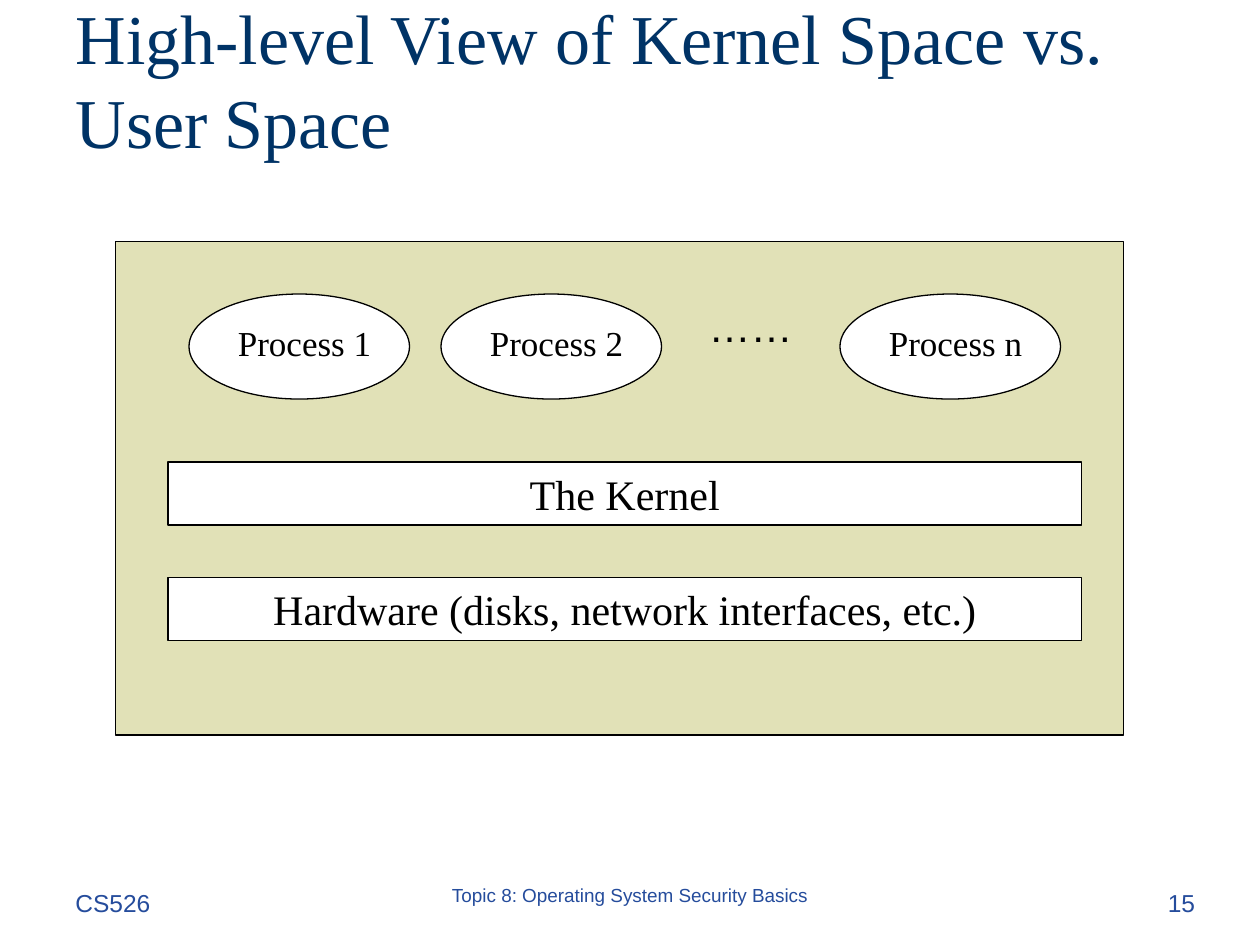
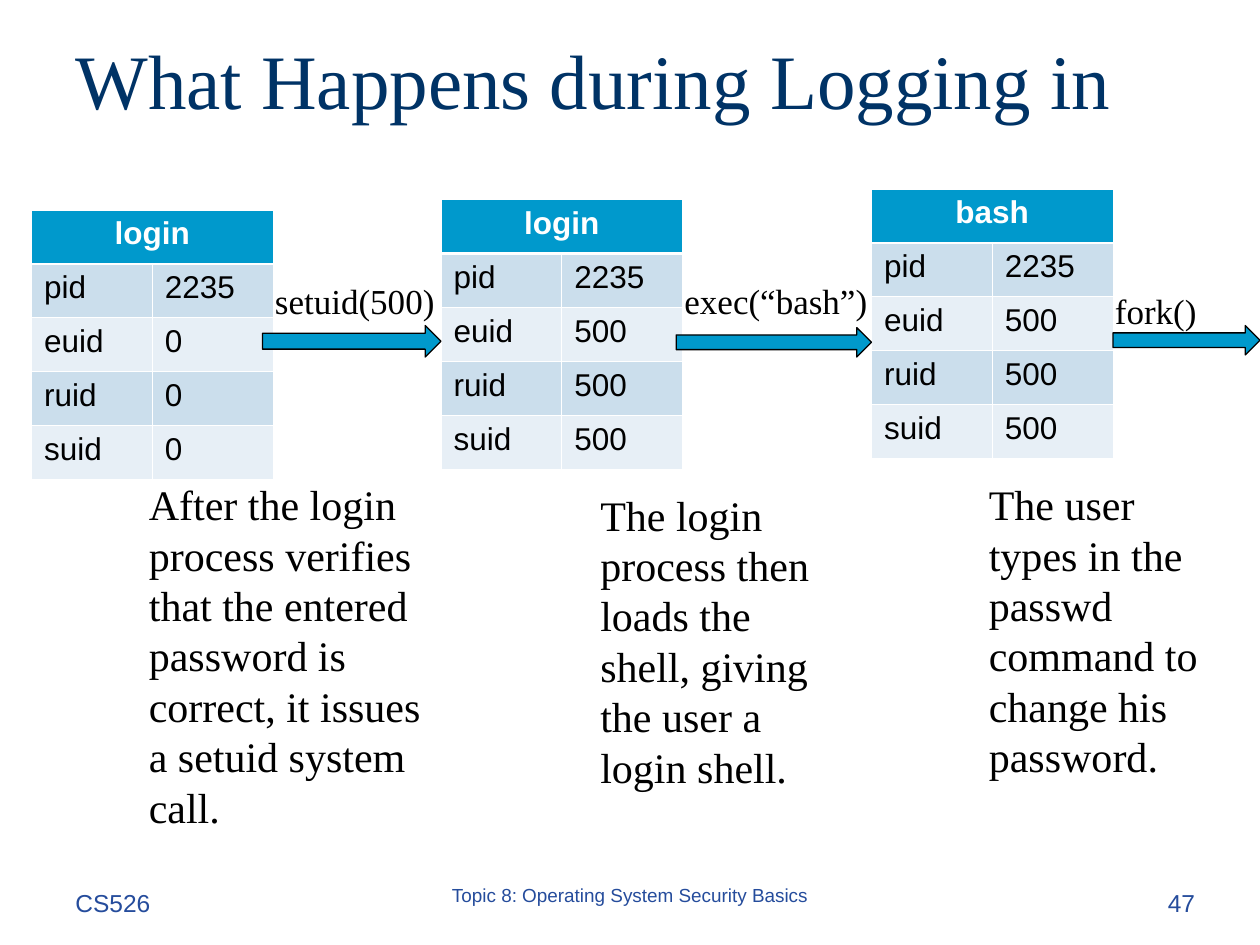
from dataclasses import dataclass
from typing import Optional

from lxml.etree import SubElement
from pptx import Presentation
from pptx.dml.color import RGBColor
from pptx.enum.shapes import MSO_SHAPE as Preset
from pptx.enum.text import MSO_ANCHOR as Anchor, MSO_AUTO_SIZE as AutoSize, PP_ALIGN as Align
from pptx.oxml.ns import qn
from pptx.presentation import Presentation as Deck
from pptx.shapes.autoshape import Shape
from pptx.slide import Slide
from pptx.table import _Cell as Cell
from pptx.text.text import TextFrame
from pptx.util import Inches, Length, Pt

SERIF, SANS = "Times New Roman", "Arial"
BLACK, WHITE = "000000", "FFFFFF"
NAVY, FOOTER_BLUE, CYAN = "003366", "254C9C", "0099CC"
SAGE, BAND_DARK, BAND_LIGHT = "E1E1B7", "CBDEEC", "E7EFF6"
UNITS_PER_INCH = 12
COLUMNS, ROWS = 120, 90
TITLE_ONLY = 5
ID_NAMES = ("pid", "euid", "ruid", "suid")
ID_COLUMN, ID_ROW = 11.5, 5.14


@dataclass(frozen=True)
class Box:
    column: float
    row: float
    columns: float
    rows: float

    def lengths(self) -> tuple[Length, ...]:
        return tuple(units(n) for n in (self.column, self.row, self.columns, self.rows))


@dataclass(frozen=True)
class TextStyle:
    size: float
    font: str = SERIF
    color: str = BLACK
    align: Align = Align.LEFT
    bold: bool = False
    line_spacing: Optional[float] = None


@dataclass(frozen=True)
class Label:
    text: str
    box: Box
    style: TextStyle


@dataclass(frozen=True)
class LoginStage:
    program: str
    column: float
    row: float
    user_id: str
    call: Label
    arrow: Box
    caption: Label


TITLE_BOX = Box(6, 0, 108, 15)
CAPTION = TextStyle(24)
CALL = TextStyle(20)
PROCESS = TextStyle(20, align=Align.CENTER)
LAYER = TextStyle(24, align=Align.CENTER)
DOTS = TextStyle(24, SANS, align=Align.CENTER)
HEADER = TextStyle(18, SANS, WHITE, Align.CENTER, True)
ENTRY = TextStyle(18, SANS)

PROCESSES = {"Process 1": 18, "Process 2": 42, "Process n": 80}
LAYERS = {"The Kernel": 44, "Hardware (disks, network interfaces, etc.)": 55}
STAGES = (
    LoginStage(
        "login", 3, 20, "0",
        Label("setuid(500)", Box(25, 26, 22, 5.3), CALL),
        Box(25, 31, 17, 3),
        Label("After the login process verifies that the entered password is correct, "
              "it issues a setuid system call.", Box(13, 45, 30, 34.8), CAPTION),
    ),
    LoginStage(
        "login", 42, 19, "500",
        Label("exec(“bash”)", Box(64, 26, 22, 5.3), CALL),
        Box(64.4, 31.2, 18.6, 2.8),
        Label("The login process then loads the shell, giving the user a login shell.",
              Box(56, 46, 25, 30), CAPTION),
    ),
    LoginStage(
        "bash", 83, 18, "500",
        Label("fork()", Box(105, 27, 11, 5.3), CALL),
        Box(106, 31, 14, 2.8),
        Label("The user types in the passwd command to change his password.",
              Box(93, 45, 25, 30), CAPTION),
    ),
)


def units(count: float) -> Length:
    return Inches(count / UNITS_PER_INCH)


def rgb(color: str) -> RGBColor:
    return RGBColor.from_string(color)


def write(frame: TextFrame, text: str, style: TextStyle) -> None:
    frame.text = text
    paragraph = frame.paragraphs[0]
    paragraph.alignment = style.align
    paragraph.line_spacing = style.line_spacing
    font = paragraph.font
    font.name, font.size, font.bold = style.font, Pt(style.size), style.bold
    font.color.rgb = rgb(style.color)


def add_label(slide: Slide, label: Label) -> None:
    frame = slide.shapes.add_textbox(*label.box.lengths()).text_frame
    frame.word_wrap = True
    write(frame, label.text, label.style)


def add_preset(slide: Slide, preset: Preset, box: Box, fill: str) -> Shape:
    shape = slide.shapes.add_shape(preset, *box.lengths())
    shape.shadow.inherit = False
    shape.fill.solid()
    shape.fill.fore_color.rgb = rgb(fill)
    shape.line.color.rgb = rgb(BLACK)
    shape.line.width = Pt(0.75)
    return shape


def add_slide(presentation: Deck, title: str, title_size: float, number: int) -> Slide:
    slide = presentation.slides.add_slide(presentation.slide_layouts[TITLE_ONLY])
    heading = slide.shapes.title
    heading.left, heading.top, heading.width, heading.height = TITLE_BOX.lengths()
    frame = heading.text_frame
    frame.auto_size = AutoSize.NONE
    frame.vertical_anchor = Anchor.MIDDLE
    write(frame, title, TextStyle(title_size, color=NAVY))
    for label in (
        Label("CS526", Box(6, 84, 25, 6), TextStyle(14, SANS, FOOTER_BLUE)),
        Label("Topic 8: Operating System Security Basics", Box(41, 84, 38, 6),
              TextStyle(10.8, SANS, FOOTER_BLUE, Align.CENTER, line_spacing=0.8)),
        Label(str(number), Box(90, 84, 25, 6), TextStyle(14, SANS, FOOTER_BLUE, Align.RIGHT)),
    ):
        add_label(slide, label)
    return slide


def add_border(cell: Cell, side: str, width: float) -> None:
    properties = cell._tc.get_or_add_tcPr()
    line = SubElement(properties, qn(f"a:ln{side}"), w=str(Pt(width)))
    fill = SubElement(line, qn("a:solidFill"))
    SubElement(fill, qn("a:srgbClr"), val=WHITE)


def format_cell(cell: Cell, row: int) -> None:
    heavy_side = {0: "B", 1: "T"}.get(row)
    for side in "LRTB":
        add_border(cell, side, 1.47 if side == heavy_side else 0.45)
    cell.fill.solid()
    band = BAND_DARK if row % 2 else BAND_LIGHT
    cell.fill.fore_color.rgb = rgb(band if row else CYAN)


def add_id_table(slide: Slide, stage: LoginStage) -> None:
    row_count = len(ID_NAMES) + 1
    box = Box(stage.column, stage.row, 2 * ID_COLUMN, row_count * ID_ROW)
    table = slide.shapes.add_table(row_count, 2, *box.lengths()).table
    for row in range(row_count):
        for column in range(2):
            format_cell(table.cell(row, column), row)
    table.cell(0, 0).merge(table.cell(0, 1))
    write(table.cell(0, 0).text_frame, stage.program, HEADER)
    for row, name in enumerate(ID_NAMES, start=1):
        value = "2235" if name == "pid" else stage.user_id
        write(table.cell(row, 0).text_frame, name, ENTRY)
        write(table.cell(row, 1).text_frame, value, ENTRY)


def build_kernel_view(presentation: Deck) -> None:
    slide = add_slide(presentation, "High-level View of Kernel Space vs. User Space", 40, 15)
    add_preset(slide, Preset.RECTANGLE, Box(11, 23, 96, 47), SAGE)
    for name, row in LAYERS.items():
        layer = add_preset(slide, Preset.RECTANGLE, Box(16, row, 87, 6), WHITE)
        layer.text_frame.word_wrap = True
        layer.text_frame.vertical_anchor = Anchor.TOP
        write(layer.text_frame, name, LAYER)
    for name, column in PROCESSES.items():
        add_preset(slide, Preset.OVAL, Box(column, 28, 21, 10), WHITE)
        add_label(slide, Label(name, Box(column + 3, 30, 16, 5.3), PROCESS))
    add_label(slide, Label("……", Box(66, 28, 11, 6), DOTS))


def build_login_steps(presentation: Deck) -> None:
    slide = add_slide(presentation, "What Happens during Logging in", 44, 47)
    for stage in STAGES:
        add_id_table(slide, stage)
    for stage in STAGES:
        add_preset(slide, Preset.RIGHT_ARROW, stage.arrow, CYAN)
        add_label(slide, stage.call)
        add_label(slide, stage.caption)


def main() -> None:
    presentation = Presentation()
    presentation.slide_width = units(COLUMNS)
    presentation.slide_height = units(ROWS)
    build_kernel_view(presentation)
    build_login_steps(presentation)
    presentation.save("out.pptx")


if __name__ == "__main__":
    main()
